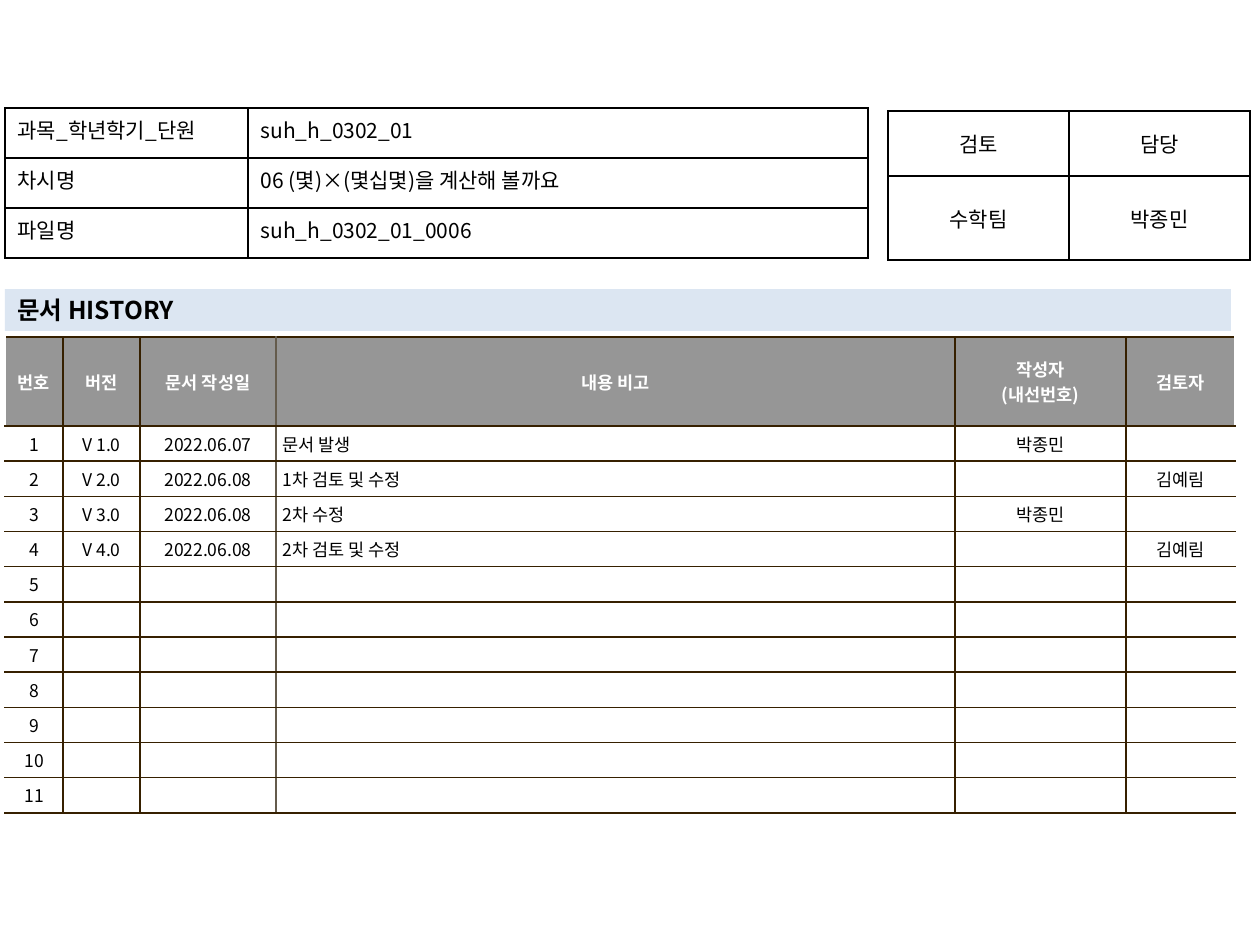
from lxml.etree import SubElement as Sub
from pptx import Presentation
from pptx.dml.color import RGBColor
from pptx.enum.shapes import MSO_SHAPE as Shape
from pptx.enum.text import MSO_ANCHOR as Anchor, PP_ALIGN as Align
from pptx.oxml.ns import qn
from pptx.util import Pt

PX = 914400 // 126
FONT = "Noto Sans CJK KR"
INK, BROWN, PALE = "000000", "362000", "645B4C"
rgb = RGBColor.from_string


def style(frame, size, ink=INK, bold=False, align=Align.LEFT):
    for para in frame.paragraphs:
        para.alignment = align
        for run in para.runs:
            font = run.font
            font.size, font.bold, font.name = Pt(size), bold, FONT
            font.color.rgb = rgb(ink)
            Sub(font._element, qn("a:ea"), typeface=FONT)
        if not para.runs:
            Sub(para._p, qn("a:endParaRPr"), sz=str(size * 100))


def grid(x, y, cols, rows, data, edge):
    """Add a table; edge(col, side) gives a border colour or None."""
    table = slide.shapes.add_table(len(rows), len(cols), x * PX, y * PX,
                                   sum(cols) * PX, sum(rows) * PX).table
    table.first_row = table.horz_banding = False
    for col, wide in zip(table.columns, cols):
        col.width = wide * PX
    for row, high, texts in zip(table.rows, rows, data):
        row.height = high * PX
        for c, (cell, text) in enumerate(zip(row.cells, texts)):
            cell.text = text
            props = cell._tc.get_or_add_tcPr()
            for side in "LRTB":
                hue = edge(c, side)
                if hue:
                    line = Sub(props, qn(f"a:ln{side}"), w="12700")
                    fill = Sub(line, qn("a:solidFill"))
                    Sub(fill, qn("a:srgbClr"), val=hue)
            cell.fill.background()
    return table


prs = Presentation()
prs.slide_width, prs.slide_height = 1260 * PX, 945 * PX
slide = prs.slides.add_slide(prs.slide_layouts[6])

# Document history
heads = ["번호", "버전", "문서 작성일", "내용 비고", "작성자\n(내선번호)", "검토자"]
log = [
    ["V 1.0", "2022.06.07", "문서 발생", "박종민", ""],
    ["V 2.0", "2022.06.08", "1차 검토 및 수정", "", "김예림"],
    ["V 3.0", "2022.06.08", "2차 수정", "박종민", ""],
    ["V 4.0", "2022.06.08", "2차 검토 및 수정", "", "김예림"],
]
log += [[""] * 5] * 7
data = [heads] + [[str(n), *texts] for n, texts in enumerate(log, 1)]
hues = {(0, "L"): None, (5, "R"): None, (2, "R"): PALE, (3, "L"): PALE}
table = grid(5, 337, [58, 77, 136, 679, 171, 109], [89] + [31] * 11, data,
             lambda c, side: hues.get((c, side), BROWN))
for r, row in enumerate(table.rows):
    for c, cell in enumerate(row.cells):
        head = r == 0
        cell.fill.solid()
        cell.fill.fore_color.rgb = rgb("969696" if head else "FFFFFF")
        cell.vertical_anchor = Anchor.MIDDLE
        cell.margin_left = cell.margin_right = 7 * PX
        cell.margin_top = cell.margin_bottom = 5 * PX
        style(cell.text_frame, 10, "FFFFFF" if head else INK, head,
              Align.LEFT if c == 3 and not head else Align.CENTER)

# Sign-off
table = grid(888, 111, [181, 181], [65, 84],
             [["검토", "담당"], ["수학팀", "박종민"]], lambda c, side: INK)
for cell in table.iter_cells():
    cell.vertical_anchor = Anchor.MIDDLE
    style(cell.text_frame, 12, align=Align.CENTER)

# Section title
bar = slide.shapes.add_shape(Shape.RECTANGLE, 5 * PX, 289 * PX, 1226 * PX, 42 * PX)
bar.shadow.inherit = False
bar.fill.solid()
bar.fill.fore_color.rgb = rgb("DCE6F2")
bar.line.fill.background()
bar.text_frame.text = "문서 HISTORY"
bar.text_frame.vertical_anchor = Anchor.MIDDLE
style(bar.text_frame, 14, bold=True)

# Lesson details
facts = [
    ["과목_학년학기_단원", "suh_h_0302_01"],
    ["차시명", "06 (몇)×(몇십몇)을 계산해 볼까요"],
    ["파일명", "suh_h_0302_01_0006"],
]
table = grid(5, 108, [243, 620], [50] * 3, facts, lambda c, side: INK)
for row in table.rows:
    for cell, align in zip(row.cells, [Align.JUSTIFY, Align.LEFT]):
        style(cell.text_frame, 12, align=align)

prs.save("out.pptx")
